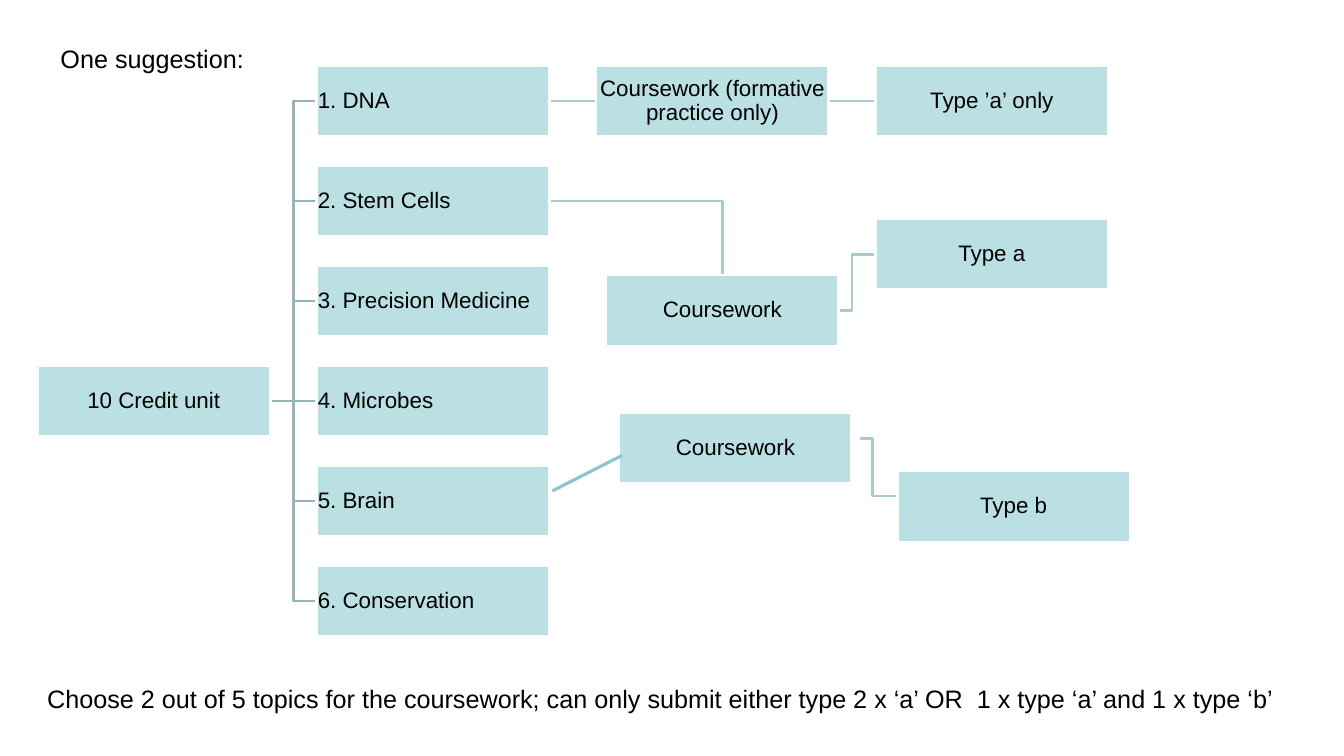
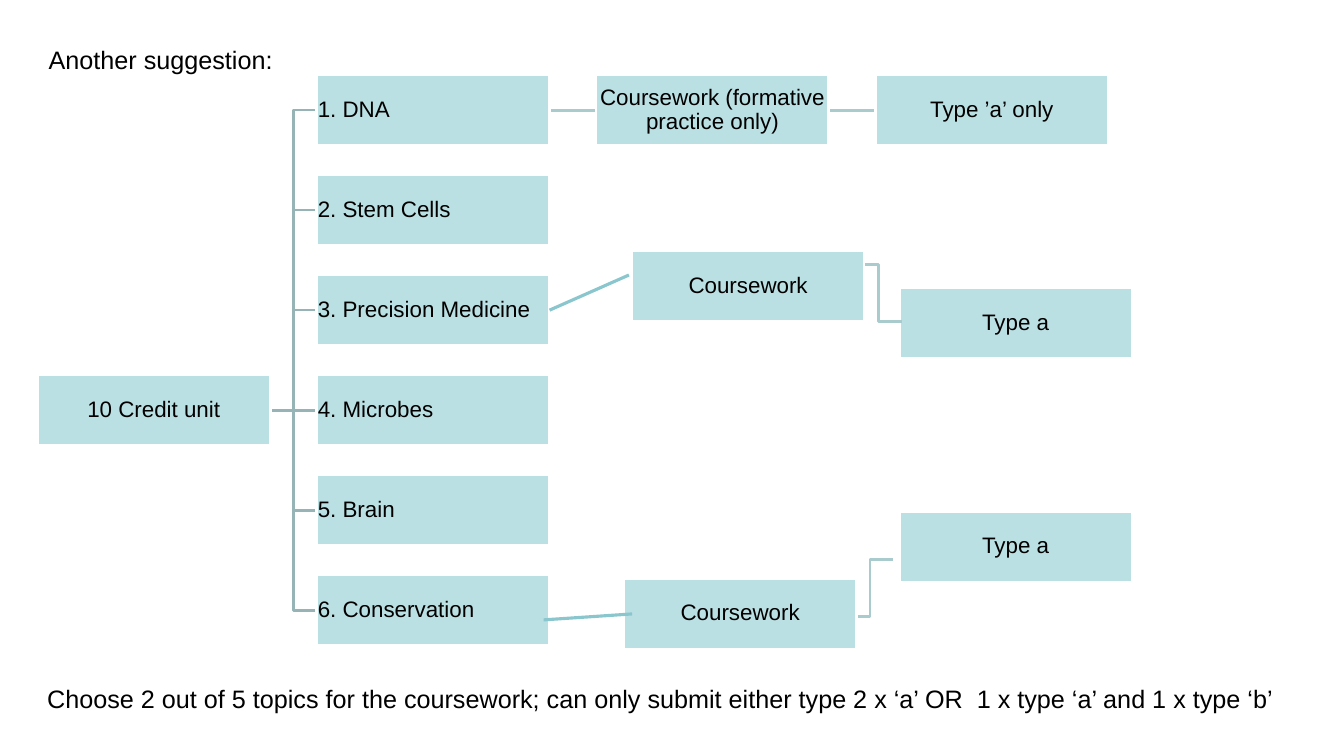
from dataclasses import dataclass
from typing import NamedTuple, Optional, Union

import pptx
import pptx.dml.color
import pptx.enum.shapes
import pptx.enum.text
import pptx.oxml
import pptx.oxml.ns
import pptx.util
from lxml import etree

Cm, Pt = pptx.util.Cm, pptx.util.Pt
RGB = pptx.dml.color.RGBColor
ALIGN = pptx.enum.text.PP_ALIGN
ANCHOR = pptx.enum.text.MSO_ANCHOR
CONNECTOR = pptx.enum.shapes.MSO_CONNECTOR
qn = pptx.oxml.ns.qn


# Theme
@dataclass(frozen=True)
class Theme:
    font: str = "Arial"
    text: RGB = RGB(0x00, 0x00, 0x00)
    box: RGB = RGB(0xBB, 0xE0, 0xE3)
    outline: RGB = RGB(0xFF, 0xFF, 0xFF)
    trunk: RGB = RGB(0x96, 0xB3, 0xB6)
    branch: RGB = RGB(0xAA, 0xCB, 0xCE)
    accent: RGB = RGB(0x8A, 0xC6, 0xCD)
    body_size: Pt = Pt(18)
    box_size: Pt = Pt(16)
    line: Pt = Pt(2)
    accent_line: Pt = Pt(2.25)


THEME = Theme()

# Grid, in centimetres
BOX_W, BOX_H = 5.87, 1.79
LEFT, COL_STEP, ROW_STEP = 0.94, 7.04, 2.52
COLS = [LEFT + i * COL_STEP for i in range(4)]
ROOT_ROW = 3
TOP_SIDE, LEFT_SIDE, RIGHT_SIDE = 0, 1, 3
BRANCH_BEND = 0.36

TOPICS = ["1. DNA", "2. Stem Cells", "3. Precision Medicine",
          "4. Microbes", "5. Brain", "6. Conservation"]
RULE = ("Choose 2 out of 5 topics for the coursework; can only submit either "
        "type 2 x ‘a’ OR  1 x type ‘a’ and 1 x type ‘b’")


class Point(NamedTuple):
    x: float
    y: float


class Port(NamedTuple):
    box: str
    side: int


End = Union[Point, Port]


@dataclass(frozen=True)
class Box:
    key: str
    text: str
    x: float
    y: float
    align: ALIGN = ALIGN.CENTER


@dataclass(frozen=True)
class Link:
    start: End
    end: End
    colour: RGB = THEME.branch
    bend: Optional[float] = None
    corner: bool = False
    front: bool = False


@dataclass(frozen=True)
class Plan:
    title: str
    title_at: Point
    title_w: float
    top: float
    boxes: list[Box]
    links: list[Link]


def accent(start: End, end: End) -> Link:
    return Link(start, end, THEME.accent, front=True)


PLANS = [
    Plan("One suggestion:", Point(1.27, 0.97), 5.18, 1.65,
         [Box("work a", "Coursework", 15.27, 6.93),
          Box("type a", "Type a", COLS[3], 5.51),
          Box("type b", "Type b", 22.61, 11.87),
          Box("work b", "Coursework", 15.6, 10.4)],
         [Link(Port("work a", RIGHT_SIDE), Port("type a", LEFT_SIDE), bend=BRANCH_BEND),
          Link(Port(TOPICS[1], RIGHT_SIDE), Port("work a", TOP_SIDE), corner=True),
          accent(Point(13.92, 12.37), Point(15.67, 11.48)),
          Link(Point(21.67, 11.05), Point(22.58, 12.5), bend=BRANCH_BEND, front=True)]),
    Plan("Another suggestion:", Point(0.97, 0.99), 6.22, 1.88,
         [Box("work low", "Coursework", 15.72, 14.57),
          Box("type high", "Type a", 22.66, 7.25),
          Box("type low", "Type a", 22.66, 12.88),
          Box("work high", "Coursework", 15.92, 6.32)],
         [Link(Point(21.6, 15.54), Point(22.5, 14.1), bend=BRANCH_BEND),
          accent(Port(TOPICS[2], RIGHT_SIDE), Point(15.85, 6.93)),
          Link(Point(21.8, 6.67), Point(22.73, 8.1), bend=BRANCH_BEND, front=True),
          accent(Point(13.7, 15.62), Point(15.93, 15.47))]),
]


# Drawing
def write(tf, text: str, size: Pt, align: ALIGN = ALIGN.LEFT) -> None:
    p = tf.paragraphs[0]
    p.alignment = align
    r = p.add_run()
    r.text = text
    r.font.name, r.font.size = THEME.font, size
    r.font.color.rgb = THEME.text


def add_title(s, plan: Plan) -> None:
    sp = s.shapes.title
    sp.left, sp.top = Cm(plan.title_at.x), Cm(plan.title_at.y)
    sp.width, sp.height = Cm(plan.title_w), Cm(1.03)
    tf = sp.text_frame
    tf.auto_size = pptx.enum.text.MSO_AUTO_SIZE.NONE
    tf.word_wrap = False
    tf.vertical_anchor = ANCHOR.TOP
    write(tf, plan.title, THEME.body_size)


def add_rule(s) -> None:
    tf = s.shapes.add_textbox(Cm(LEFT), Cm(17.1), Cm(31.6), Cm(1.03)).text_frame
    tf.word_wrap = True
    write(tf, RULE, THEME.body_size)


def add_box(s, box: Box):
    sp = s.shapes.add_shape(pptx.enum.shapes.MSO_SHAPE.RECTANGLE,
                            Cm(box.x), Cm(box.y), Cm(BOX_W), Cm(BOX_H))
    sp.shadow.inherit = False
    sp.fill.solid()
    sp.fill.fore_color.rgb = THEME.box
    sp.line.color.rgb, sp.line.width = THEME.outline, THEME.line
    tf = sp.text_frame
    tf.margin_left = tf.margin_right = tf.margin_top = tf.margin_bottom = Cm(0.03)
    tf.vertical_anchor = ANCHOR.MIDDLE
    write(tf, box.text, THEME.box_size, box.align)
    tf.paragraphs[0].line_spacing = 0.9
    return sp


def port_point(sp, side: int) -> tuple[int, int]:
    if side == TOP_SIDE:
        return sp.left + sp.width // 2, sp.top
    return sp.left + (sp.width if side == RIGHT_SIDE else 0), sp.top + sp.height // 2


def add_link(s, link: Link, shapes: dict) -> None:
    ends = [port_point(shapes[e.box], e.side) if isinstance(e, Port)
            else (Cm(e.x), Cm(e.y)) for e in (link.start, link.end)]
    bent = link.corner or link.bend is not None
    kind = CONNECTOR.ELBOW if bent else CONNECTOR.STRAIGHT
    c = s.shapes.add_connector(kind, *ends[0], *ends[1])
    for end, join in ((link.start, c.begin_connect), (link.end, c.end_connect)):
        if isinstance(end, Port):
            join(shapes[end.box], end.side)
    c.line.color.rgb = link.colour
    c.line.width = THEME.accent_line if link.colour == THEME.accent else THEME.line
    sp_pr = c.element.spPr
    etree.SubElement(sp_pr, qn("a:effectLst"))
    # Elbow form and position of its bend
    geom = sp_pr.find(qn("a:prstGeom"))
    if link.corner:
        geom.set("prst", "bentConnector2")
    elif bent:
        guides = geom.find(qn("a:avLst"))
        if guides is None:
            guides = etree.SubElement(geom, qn("a:avLst"))
        etree.SubElement(guides, qn("a:gd"), name="adj1",
                         fmla=f"val {round(link.bend * 100000)}")
    # Lines of the tree lie behind its boxes
    if not link.front:
        c.element.getparent().insert(2, c.element)


def tree_boxes(top: float) -> list[Box]:
    topics = [Box(t, t, COLS[1], top + i * ROW_STEP, ALIGN.LEFT)
              for i, t in enumerate(TOPICS)]
    return [Box("root", "10 Credit unit", COLS[0], top + ROOT_ROW * ROW_STEP), *topics,
            Box("practice", "Coursework (formative practice only)", COLS[2], top),
            Box("only a", "Type ’a’ only", COLS[3], top)]


def tree_links() -> list[Link]:
    trunk = [Link(Port("root", RIGHT_SIDE), Port(t, LEFT_SIDE), THEME.trunk,
                  bend=None if i == ROOT_ROW else 0.5)
             for i, t in enumerate(TOPICS)]
    chain = [TOPICS[0], "practice", "only a"]
    return trunk + [Link(Port(a, RIGHT_SIDE), Port(b, LEFT_SIDE))
                    for a, b in zip(chain, chain[1:])]


def add_plan(prs, plan: Plan) -> None:
    s = prs.slides.add_slide(prs.slide_layouts[5])
    add_title(s, plan)
    shapes = {b.key: add_box(s, b) for b in tree_boxes(plan.top) + plan.boxes}
    for link in tree_links() + plan.links:
        add_link(s, link, shapes)
    add_rule(s)


def main() -> None:
    prs = pptx.Presentation()
    prs.slide_width, prs.slide_height = Cm(33.87), Cm(19.05)
    for plan in PLANS:
        add_plan(prs, plan)
    prs.save("out.pptx")


if __name__ == "__main__":
    main()
